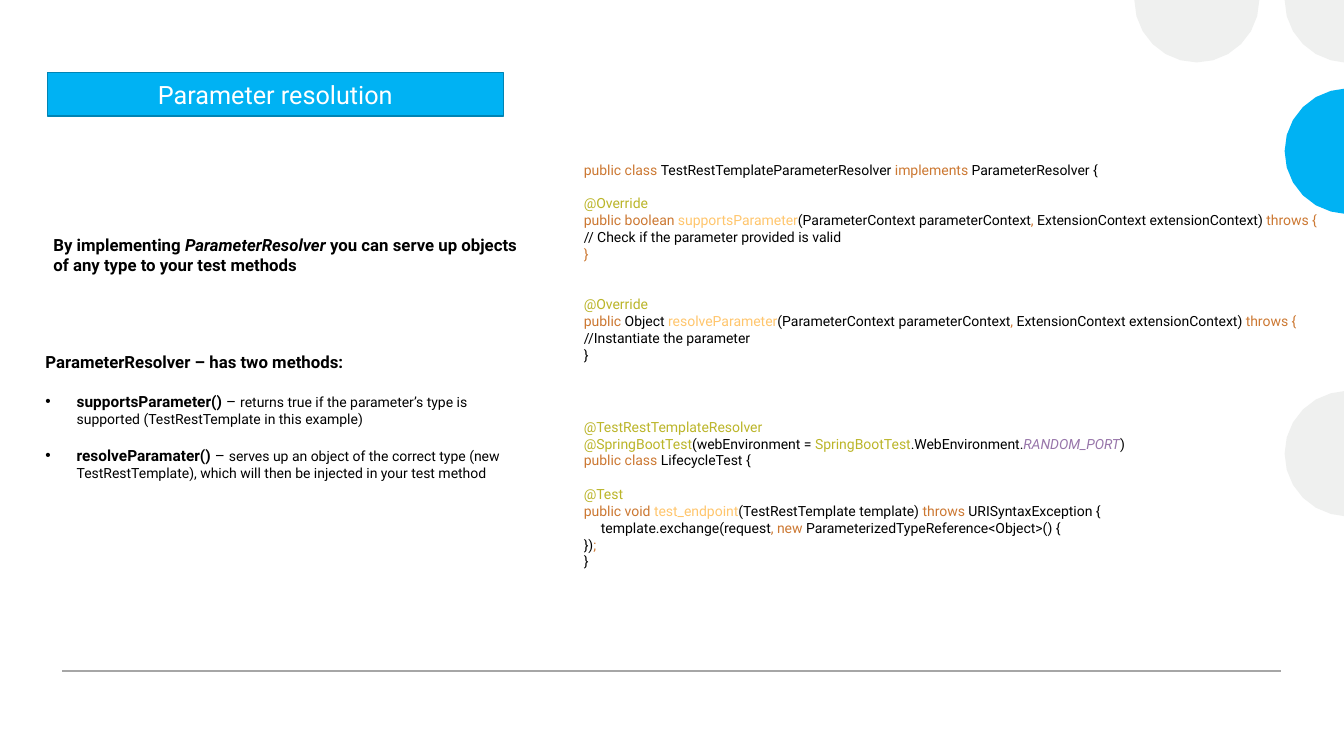
from dataclasses import dataclass
from functools import partial
from math import cos, pi, sin

from lxml import etree
from pptx import Presentation, util as u
from pptx.dml.color import RGBColor
from pptx.enum import shapes, text
from pptx.oxml.ns import qn

SLIDE_WIDTH, SLIDE_HEIGHT = u.Inches(13.33), u.Inches(7.5)
FONT = "Roboto"
BLUE, BLUE_EDGE, GREY, RULE_GREY = "00B2F3", "0084B4", "EFF0EF", "A6A6A6"
WHITE, BLACK = "FFFFFF", "000000"


@dataclass(frozen=True)
class Box:
    """Position and size in percent of the slide."""
    left: float
    top: float
    width: float
    height: float

    def lengths(self) -> tuple:
        return across(self.left), down(self.top), across(self.width), down(self.height)


@dataclass(frozen=True)
class Span:
    words: str
    color: str = BLACK
    size: float = 10
    bold: bool = False
    italic: bool = False


@dataclass(frozen=True)
class Block:
    """A paragraph; a None among its spans is a line break."""
    spans: tuple
    gap: float = 0  # points above the block
    margin: float = 0  # inches
    bullet: bool = False


@dataclass(frozen=True)
class Disc:
    """Circle centre in percent of the slide, and its visible quarter turns."""
    x: float
    y: float
    color: str
    first: int
    last: int


def across(percent: float) -> int:
    return round(SLIDE_WIDTH * percent / 100)


def down(percent: float) -> int:
    return round(SLIDE_HEIGHT * percent / 100)


def rgb(color: str) -> RGBColor:
    return RGBColor.from_string(color)


def place(shape, box: Box) -> None:
    shape.left, shape.top, shape.width, shape.height = box.lengths()


def draw_disc(slide, disc: Disc, radius: int, steps: int = 6) -> None:
    """Draws the part of the disc that lies on the slide, in steps per quarter."""
    outline = []
    for step in range(disc.first * steps, disc.last * steps + 1):
        angle = pi / 2 * step / steps
        x = across(disc.x) + radius * cos(angle)
        y = down(disc.y) + radius * sin(angle)
        outline.append((round(min(x, SLIDE_WIDTH)), round(y)))
    if disc.last - disc.first == 1:
        outline.append((SLIDE_WIDTH, 0))
    builder = slide.shapes.build_freeform(*outline[0])
    builder.add_line_segments(outline[1:], close=True)
    part = builder.convert_to_shape()
    part.shadow.inherit = False
    part.fill.solid()
    part.fill.fore_color.rgb = rgb(disc.color)
    part.line.fill.background()


def write(frame, blocks: list, align=text.PP_ALIGN.LEFT, anchor=text.MSO_ANCHOR.TOP) -> None:
    frame_format = {"word_wrap": True, "auto_size": text.MSO_AUTO_SIZE.NONE,
                    "vertical_anchor": anchor,
                    "margin_left": u.Inches(0.1), "margin_right": u.Inches(0.1),
                    "margin_top": u.Inches(0.05), "margin_bottom": u.Inches(0.05)}
    for name, value in frame_format.items():
        setattr(frame, name, value)
    for index, block in enumerate(blocks):
        paragraph = frame.paragraphs[0] if index == 0 else frame.add_paragraph()
        paragraph.alignment = align
        paragraph.space_before = u.Pt(block.gap)
        paragraph.space_after = u.Pt(0)
        properties = paragraph._p.get_or_add_pPr()
        margin = u.Inches(block.margin)
        properties.set("marL", str(margin))
        properties.set("indent", str(-margin if block.bullet else 0))
        if block.bullet:
            etree.SubElement(properties, qn("a:buFont")).set("typeface", "Arial")
            etree.SubElement(properties, qn("a:buChar")).set("char", "•")
        else:
            etree.SubElement(properties, qn("a:buNone"))
        for span in block.spans:
            if span is None:
                paragraph.add_line_break()
                etree.SubElement(paragraph._p[-1], qn("a:rPr")).set("sz", "1000")
                continue
            run = paragraph.add_run()
            run.text = span.words
            run_format = {"name": FONT, "size": u.Pt(span.size),
                          "bold": span.bold, "italic": span.italic}
            for name, value in run_format.items():
                setattr(run.font, name, value)
            run.font.color.rgb = rgb(span.color)


def add_text(slide, box: Box, blocks: list) -> None:
    write(slide.shapes.add_textbox(*box.lengths()).text_frame, blocks)


def code(*spans, blanks: int = 0, margin: float = 0) -> Block:
    """A block of code below a number of blank line heights."""
    return Block(spans, gap=12 * blanks, margin=margin)


keyword = partial(Span, color="CC7832")
annotation = partial(Span, color="BBB529")
method = partial(Span, color="FFC66D")
constant = partial(Span, color="9876AA", italic=True)
strong = partial(Span, size=12, bold=True)
term = partial(Span, size=11, bold=True)
dash = Span(" – ", size=11)
BREAK = None

signature = (Span("(ParameterContext parameterContext"), keyword(", "),
             Span("ExtensionContext extensionContext) "), keyword("throws {"))

RESOLVER_CODE = [
    code(keyword("public class "), Span("TestRestTemplateParameterResolver "),
         keyword("implements "), Span("ParameterResolver {")),
    code(annotation("@Override"), BREAK,
         keyword("public boolean "), method("supportsParameter"), *signature, blanks=1),
    code(Span("// Check if the parameter provided is valid")),
    code(keyword("}")),
    code(annotation("@Override"), BREAK, keyword("public "), Span("Object "),
         method("resolveParameter"), *signature, blanks=2),
    code(Span("//Instantiate the parameter"), BREAK, Span("}")),
]
TEST_CODE = [
    code(annotation("@TestRestTemplateResolver"), BREAK,
         annotation("@SpringBootTest"), Span("(webEnvironment = "),
         annotation("SpringBootTest"), Span(".WebEnvironment."),
         constant("RANDOM_PORT"), Span(")"), BREAK,
         keyword("public class "), Span("LifecycleTest {")),
    code(annotation("@Test"), BREAK,
         keyword("public void "), method("test_endpoint"),
         Span("(TestRestTemplate template) "), keyword("throws "),
         Span("URISyntaxException {"), blanks=1),
    code(Span("template.exchange(request"), keyword(", new "),
         Span("ParameterizedTypeReference<Object>() {"), margin=0.17),
    code(Span("})"), keyword(";"), BREAK, Span("}")),
]
LEAD = [Block((strong("By implementing "), strong("ParameterResolver", italic=True),
               strong(" you can serve up objects of any type to your test methods")))]
METHODS = [
    Block((strong("ParameterResolver – has two methods:"),)),
    Block((term("supportsParameter()"), dash,
           Span("returns true if the parameter’s type is supported "
                "(TestRestTemplate in this example)")), gap=14.4, margin=0.31, bullet=True),
    Block((term("resolveParamater()"), dash,
           Span("serves up an object of the correct type (new TestRestTemplate), "
                "which will then be injected in your test method")),
          gap=13.2, margin=0.31, bullet=True),
]
TITLE = [Block((Span("Parameter resolution", WHITE, size=18),))]
DISCS = [Disc(89.05, 0, GREY, 0, 2), Disc(100.23, 60, GREY, 1, 3),
         Disc(100.23, 20, BLUE, 1, 3), Disc(100.23, 0, GREY, 1, 2)]


def make_banner(title) -> None:
    place(title, Box(3.53, 9.6, 33.92, 5.73))
    outline = etree.SubElement(title._element.spPr, qn("a:prstGeom"), prst="round1Rect")
    etree.SubElement(outline, qn("a:avLst"))
    title.fill.solid()
    title.fill.fore_color.rgb = rgb(BLUE)
    title.line.color.rgb = rgb(BLUE_EDGE)
    title.line.width = u.Pt(1)
    write(title.text_frame, TITLE, text.PP_ALIGN.CENTER, text.MSO_ANCHOR.MIDDLE)


def main() -> None:
    deck = Presentation()
    deck.slide_width, deck.slide_height = SLIDE_WIDTH, SLIDE_HEIGHT
    slide = deck.slides.add_slide(deck.slide_layouts[1])
    title, methods = slide.placeholders[0], slide.placeholders[1]

    for disc in DISCS:
        draw_disc(slide, disc, radius=across(4.65))
    rule = slide.shapes.add_connector(shapes.MSO_CONNECTOR.STRAIGHT, across(4.65),
                                      down(88.75), across(95.35), down(88.75))
    rule.line.color.rgb = rgb(RULE_GREY)
    rule.line.width = u.Pt(1)
    etree.SubElement(rule._element.spPr, qn("a:effectLst"))

    make_banner(title)
    add_text(slide, Box(42.7, 54.67, 57.3, 21.6), TEST_CODE)
    add_text(slide, Box(42.7, 20.67, 57.3, 28.27), RESOLVER_CODE)
    place(methods, Box(2.63, 45.87, 35.33, 25.6))
    write(methods.text_frame, METHODS)
    add_text(slide, Box(3.23, 30.4, 36.23, 6.67), LEAD)
    deck.save("out.pptx")


if __name__ == "__main__":
    main()
